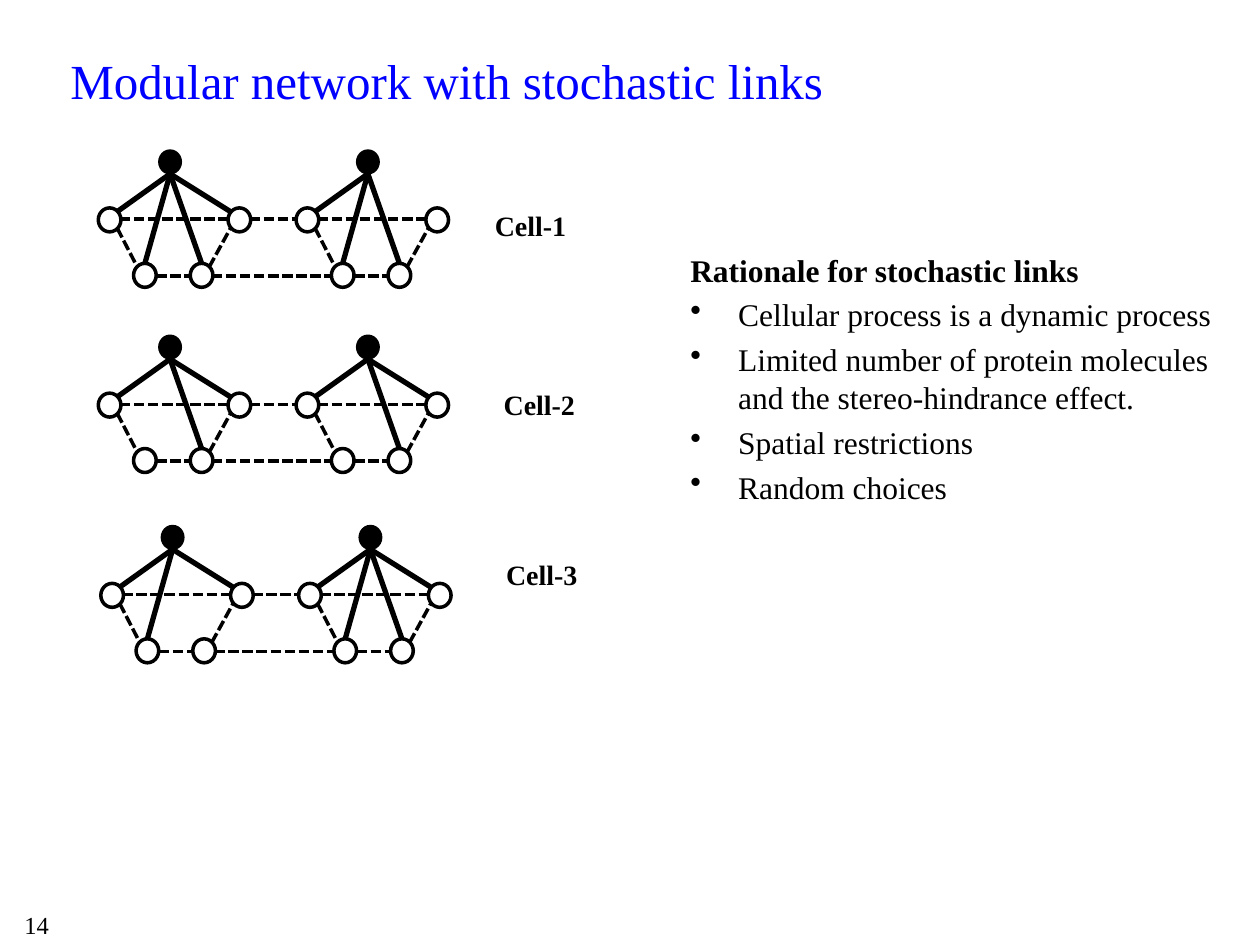
from pptx import Presentation
from pptx import util as u
from pptx.dml.color import RGBColor
from pptx.enum import dml, shapes, text
from pptx.oxml import xmlchemy
from lxml import etree

FONT = "Times New Roman"
BLACK, BLUE = "000000", "0000FF"

TITLE = "Modular network with stochastic links"
HEADING = "Rationale for stochastic links"
REASONS = [
    "Cellular process is a dynamic process",
    "Limited number of protein molecules and the stereo-hindrance effect.",
    "Spatial restrictions",
    "Random choices",
]

HUB = (0.48, 0)
NODES = [(0.73, 0.9), (0.28, 0.9), (0, 0.46), (1.03, 0.46)]
NODE_SIZE = (0.18, 0.19)
HUB_EXIT = (0.57, 0.19)
HUB_LINKS = {
    "left": (0.15, 0.49),
    "lower left": (0.37, 0.9),
    "lower right": (0.82, 0.9),
    "right": (1.05, 0.49),
}
RING_LINKS = [
    ((0.88, 0.93), (1.05, 0.62)),
    ((0.46, 1), (0.73, 1)),
    ((0.17, 0.55), (1.03, 0.55)),
    ((0.15, 0.62), (0.31, 0.93)),
]
BRIDGES = [((1.2, 0.55), (1.57, 0.55)), ((0.9, 1), (1.85, 1))]
MODULE_PITCH = 1.57

CELLS = [
    ("Cell-1", (0.78, 1.19), (3.82, 1.61), [set(), {"right"}]),
    ("Cell-2", (0.78, 2.66), (3.89, 3.03), [{"lower left"}, {"lower left"}]),
    ("Cell-3", (0.8, 4.17), (3.91, 4.38), [{"lower right"}, set()]),
]


def color(value):
    return RGBColor.from_string(value)


def inches(*values):
    return [u.Inches(value) for value in values]


def add_text(box, lines, size, ink=BLACK, bold=False, align=text.PP_ALIGN.LEFT, wrap=True):
    frame = slide.shapes.add_textbox(*inches(*box)).text_frame
    frame.word_wrap = wrap
    for index, line in enumerate(lines):
        paragraph = frame.paragraphs[0] if index == 0 else frame.add_paragraph()
        paragraph.text = line
        paragraph.alignment = align
        font = paragraph.font
        font.name, font.size, font.bold = FONT, u.Pt(size), bold
        font.color.rgb = color(ink)
    return frame


def add_node(origin, offset, filled=False):
    left, top = origin[0] + offset[0], origin[1] + offset[1]
    node = slide.shapes.add_shape(shapes.MSO_SHAPE.OVAL, *inches(left, top, *NODE_SIZE))
    node.shadow.inherit = False
    if filled:
        node.fill.solid()
        node.fill.fore_color.rgb = color(BLACK)
    else:
        node.fill.background()
    node.line.color.rgb = color(BLACK)
    node.line.width = u.Pt(0.75 if filled else 2)


def add_link(origin, start, end, dashed=False):
    x, y = origin
    link = slide.shapes.add_connector(
        shapes.MSO_CONNECTOR.STRAIGHT,
        *inches(x + start[0], y + start[1], x + end[0], y + end[1]),
    )
    link.line.color.rgb = color(BLACK)
    link.line.width = u.Pt(2 if dashed else 3)
    if dashed:
        link.line.dash_style = dml.MSO_LINE.SQUARE_DOT
    etree.SubElement(link._element.spPr, xmlchemy.qn("a:effectLst"))


def add_module(origin, missing):
    add_node(origin, HUB, filled=True)
    for node in NODES:
        add_node(origin, node)
    for name, end in HUB_LINKS.items():
        if name not in missing:
            add_link(origin, HUB_EXIT, end)
    for start, end in RING_LINKS:
        add_link(origin, start, end, dashed=True)


def add_cell(label, origin, label_corner, missing_links):
    for index, missing in enumerate(missing_links):
        add_module((origin[0] + index * MODULE_PITCH, origin[1]), missing)
    for start, end in BRIDGES:
        add_link(origin, start, end, dashed=True)
    add_text((*label_corner, 0.78, 0.37), [label], 16, bold=True,
             align=text.PP_ALIGN.CENTER, wrap=False)


def add_rationale():
    frame = add_text((5.38, 1.94, 4.62, 3.02), [HEADING] + REASONS, 18)
    heading, *reasons = frame.paragraphs
    heading.font.bold = True
    for paragraph in reasons:
        paragraph.space_before = u.Pt(4)
        properties = paragraph._p.get_or_add_pPr()
        properties.set("marL", str(u.Inches(0.38)))
        properties.set("indent", str(u.Inches(-0.38)))
        bullet = etree.Element(xmlchemy.qn("a:buChar"), char="•")
        properties.find(xmlchemy.qn("a:defRPr")).addprevious(bullet)


presentation = Presentation()
presentation.slide_width, presentation.slide_height = inches(10, 7.5)
slide = presentation.slides.add_slide(presentation.slide_layouts[6])

add_text((-0.45, 7.17, 1.48, 0.33), ["14"], 14, align=text.PP_ALIGN.CENTER)
title = add_text((0.46, 0.22, 8.5, 1.25), [TITLE], 28, BLUE)
title.margin_top = u.Inches(0.18)
for cell in CELLS:
    add_cell(*cell)
add_rationale()

presentation.save("out.pptx")
